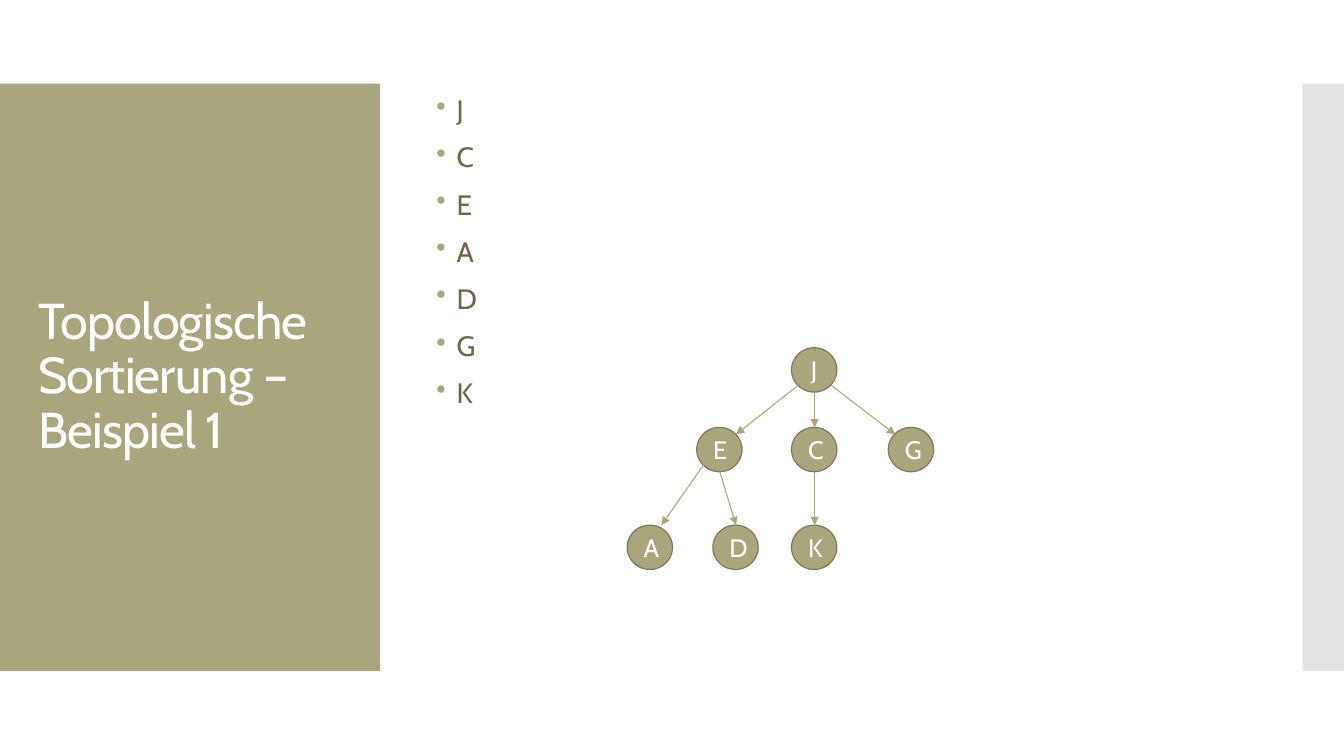
from pptx import Presentation
from pptx.dml.color import RGBColor
from pptx.enum.shapes import MSO_CONNECTOR, MSO_SHAPE
from pptx.enum.text import MSO_ANCHOR, PP_ALIGN
from pptx.oxml.ns import qn
from pptx.util import Emu, Pt
from lxml.etree import SubElement

EMU_PER_PX = 9144
WHITE = "FFFFFF"
OLIVE = "A9A57C"
DARK_OLIVE = "7D7A5C"
BROWN = "6F664C"
GREY = "C8C8C8"

NODE_WIDTH, NODE_HEIGHT = 45, 44
NODES = {
    "J": (785, 345),
    "E": (691, 424),
    "C": (785, 424),
    "G": (881, 424),
    "A": (622, 521),
    "D": (707, 521),
    "K": (785, 521),
}
TOP, BOTTOM = (0, -22), (0, 22)
LOWER_LEFT, LOWER_RIGHT = (-16, 15), (16, 15)
UPPER_LEFT, UPPER_RIGHT = (-16, -15), (16, -15)
EDGES = [
    ("J", LOWER_LEFT, "E", UPPER_RIGHT),
    ("J", BOTTOM, "C", TOP),
    ("J", LOWER_RIGHT, "G", UPPER_LEFT),
    ("E", LOWER_LEFT, "A", (11, -22)),
    ("E", BOTTOM, "D", TOP),
    ("C", BOTTOM, "K", TOP),
]


def px(length):
    return Emu(length * EMU_PER_PX)


def color(value):
    return RGBColor.from_string(value)


class SlideBuilder:
    font = "Cabin"

    def __init__(self, slide):
        self.slide = slide

    def add_run(self, paragraph, text, size, fill):
        run = paragraph.add_run()
        run.text = text
        run.font.name = self.font
        run.font.size = Pt(size)
        run.font.color.rgb = color(fill)
        return run

    def add_shape(self, kind, left, top, width, height, fill):
        shape = self.slide.shapes.add_shape(kind, px(left), px(top), px(width), px(height))
        shape.shadow.inherit = False
        shape.fill.solid()
        shape.fill.fore_color.rgb = color(fill)
        shape.line.fill.background()
        return shape

    def add_panel(self, left, top, width, height, fill, opacity=100):
        panel = self.add_shape(MSO_SHAPE.RECTANGLE, left, top, width, height, fill)
        if opacity < 100:
            fill_color = panel._element.spPr.find(qn("a:solidFill"))[0]
            SubElement(fill_color, qn("a:alpha"), val=str(opacity * 1000))

    def add_text_frame(self, left, top, width, height, anchor):
        box = self.slide.shapes.add_textbox(px(left), px(top), px(width), px(height))
        frame = box.text_frame
        frame.word_wrap = True
        frame.vertical_anchor = anchor
        return frame

    def add_title(self, text, left, top, width, height):
        frame = self.add_text_frame(left, top, width, height, MSO_ANCHOR.MIDDLE)
        paragraph = frame.paragraphs[0]
        paragraph.line_spacing = 0.9
        run = self.add_run(paragraph, text, 36, WHITE)
        run.font._element.set("spc", "-60")

    def add_bullets(self, items, left, top, width, height):
        frame = self.add_text_frame(left, top, width, height, MSO_ANCHOR.TOP)
        frame.margin_top = px(2)
        for index, item in enumerate(items):
            paragraph = frame.add_paragraph() if index else frame.paragraphs[0]
            paragraph.line_spacing = 0.9
            paragraph.space_before = Pt(12)
            properties = paragraph._element.get_or_add_pPr()
            properties.set("marL", str(px(20)))
            properties.set("indent", str(px(-20)))
            bullet_color = SubElement(properties, qn("a:buClr"))
            SubElement(bullet_color, qn("a:srgbClr"), val=OLIVE)
            SubElement(properties, qn("a:buChar"), char="•")
            self.add_run(paragraph, item, 20, BROWN)

    def add_node(self, label, left, top):
        node = self.add_shape(MSO_SHAPE.OVAL, left, top, NODE_WIDTH, NODE_HEIGHT, OLIVE)
        node.line.color.rgb = color(DARK_OLIVE)
        node.line.width = Pt(0.85)
        node.text_frame.vertical_anchor = MSO_ANCHOR.MIDDLE
        paragraph = node.text_frame.paragraphs[0]
        paragraph.alignment = PP_ALIGN.CENTER
        self.add_run(paragraph, label, 18, WHITE)

    def add_arrow(self, begin, end):
        arrow = self.slide.shapes.add_connector(
            MSO_CONNECTOR.STRAIGHT, *map(px, begin), *map(px, end)
        )
        arrow.line.color.rgb = color(OLIVE)
        arrow.line.width = Pt(0.75)
        properties = arrow._element.spPr
        SubElement(properties.find(qn("a:ln")), qn("a:tailEnd"), type="triangle")
        SubElement(properties, qn("a:effectLst"))


def node_point(label, offset):
    left, top = NODES[label]
    return left + 23 + offset[0], top + 22 + offset[1]


def main():
    presentation = Presentation()
    presentation.slide_width = px(1333)
    presentation.slide_height = px(750)
    slide = presentation.slides.add_slide(presentation.slide_layouts[6])
    builder = SlideBuilder(slide)

    builder.add_panel(0, 83, 377, 583, OLIVE)
    builder.add_panel(1292, 83, 41, 583, GREY, opacity=50)
    builder.add_title("Topologische Sortierung – Beispiel 1", 28, 123, 322, 503)
    builder.add_bullets("JCEADGK", 423, 94, 800, 560)

    for label, (left, top) in NODES.items():
        builder.add_node(label, left, top)
    for parent, begin, child, end in EDGES:
        builder.add_arrow(node_point(parent, begin), node_point(child, end))

    presentation.save("out.pptx")


if __name__ == "__main__":
    main()
